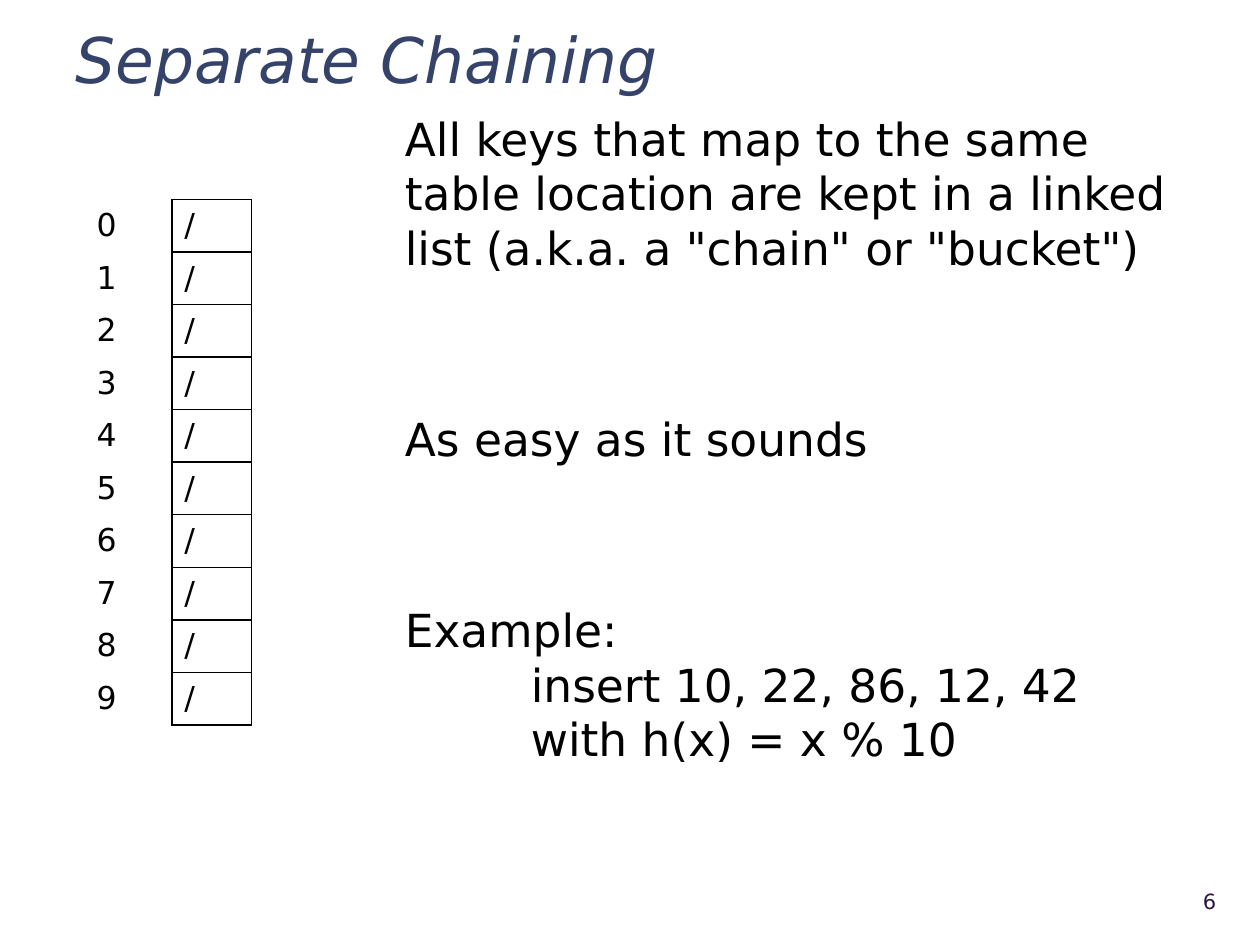
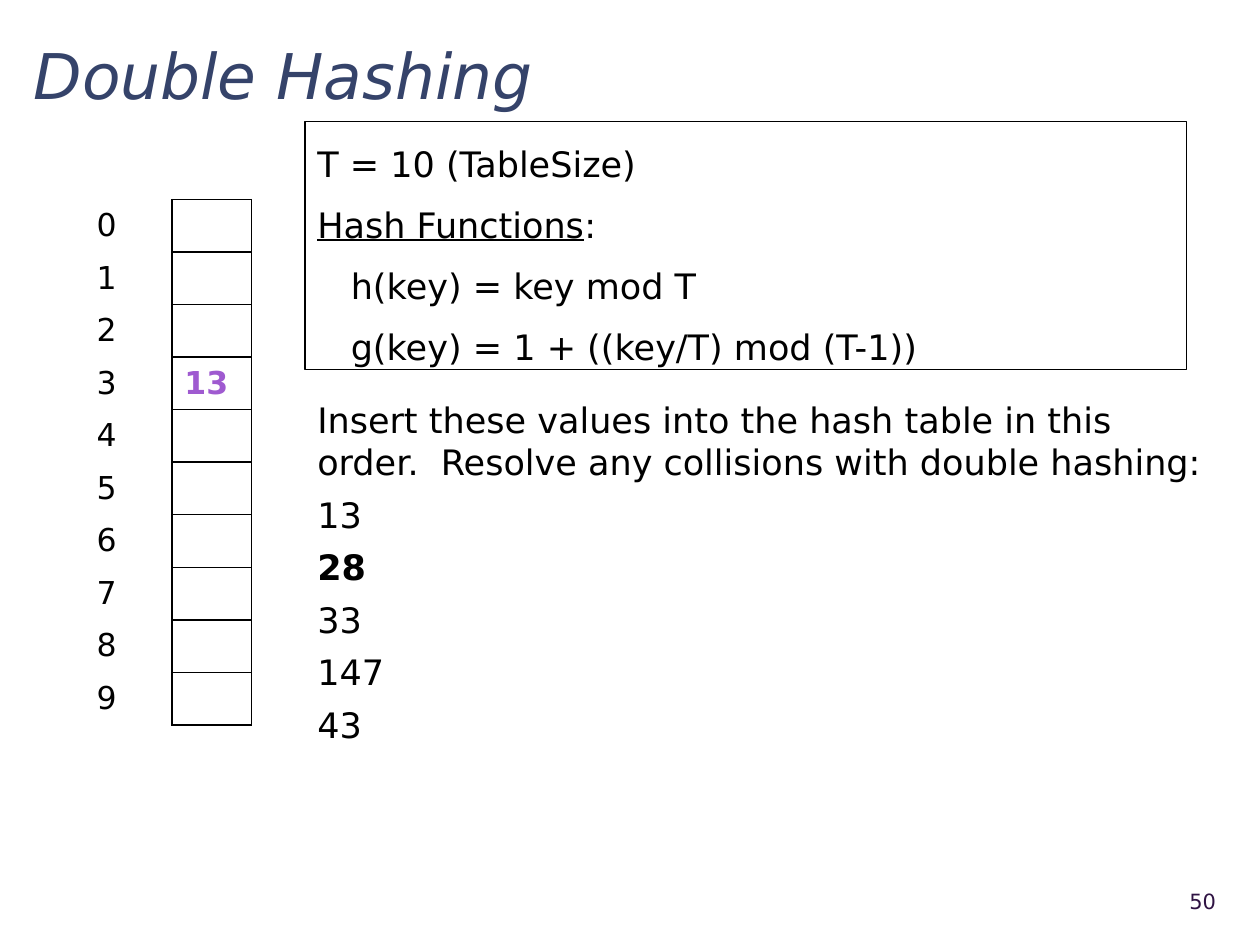
"""Builds two slides on hash tables: separate chaining and double hashing."""
from collections import namedtuple

from lxml import etree
from pptx import Presentation
from pptx.dml.color import RGBColor
from pptx.enum import text as t
from pptx.oxml import ns
from pptx.util import Pt

FONT = "DejaVu Sans"
NAVY = RGBColor(0x35, 0x43, 0x6A)
PLUM = RGBColor(0x2F, 0x13, 0x43)
VIOLET = RGBColor(0x9F, 0x5A, 0xD0)
BLACK = RGBColor(0, 0, 0)
TITLE_ONLY = 5
BREAK = "\n"

Box = namedtuple("Box", "left top width height")
Line = namedtuple("Line", "runs before indent", defaults=(0, 0))

BUCKETS = Box(48, 114, 95.75, 300.25)
PAGE_NUMBER = Box(640, 500.4, 62, 28.8)


def lengths(box):
    """Return the sides of a box as lengths."""
    return [Pt(side) for side in box]


def add_run(paragraph, words, size, color=BLACK, bold=False, italic=False, underline=False):
    """Add one formatted run."""
    run = paragraph.add_run()
    run.text = words
    font = run.font
    font.name, font.size, font.color.rgb = FONT, Pt(size), color
    font.bold, font.italic, font.underline = bold, italic, underline


def add_title(slide, box, words):
    """Place and format the slide title."""
    title = slide.shapes.title
    title.left, title.top, title.width, title.height = lengths(box)
    frame = title.text_frame
    frame.auto_size = t.MSO_AUTO_SIZE.NONE
    frame.word_wrap = True
    frame.vertical_anchor = t.MSO_ANCHOR.MIDDLE
    paragraph = frame.paragraphs[0]
    paragraph.alignment = t.PP_ALIGN.LEFT
    paragraph.line_spacing = 1.1
    add_run(paragraph, words, 36, NAVY, italic=True)


def add_text(slide, box, lines, size, spacing=1.0):
    """Add a wrapped text box of lines, each made of (words, format) runs."""
    area = slide.shapes.add_textbox(*lengths(box))
    frame = area.text_frame
    frame.word_wrap = True
    for number, line in enumerate(lines):
        paragraph = frame.add_paragraph() if number else frame.paragraphs[0]
        paragraph.line_spacing = spacing
        paragraph.space_before = Pt(line.before)
        if line.indent:
            paragraph._p.get_or_add_pPr().set("marL", str(Pt(line.indent)))
        for words, style in line.runs:
            if words == BREAK:
                paragraph.add_line_break()
            else:
                add_run(paragraph, words, size, **style)
    return area


def add_page_number(slide, number):
    """Add the page number at the bottom right."""
    area = add_text(slide, PAGE_NUMBER, [Line([(number, {"color": PLUM})])], 12)
    area.text_frame.vertical_anchor = t.MSO_ANCHOR.MIDDLE
    area.text_frame.paragraphs[0].alignment = t.PP_ALIGN.RIGHT


def set_borders(cell, drawn):
    """Draw the named sides of a cell in black and clear the others."""
    properties = cell._tc.get_or_add_tcPr()
    for side in "LRTB":
        edge = etree.SubElement(properties, ns.qn(f"a:ln{side}"), w=str(Pt(1)))
        if side in drawn:
            fill = etree.SubElement(edge, ns.qn("a:solidFill"))
            etree.SubElement(fill, ns.qn("a:srgbClr"), val=str(BLACK))
        else:
            etree.SubElement(edge, ns.qn("a:noFill"))


def add_buckets(slide, box, contents):
    """Add the hash table: an index column and a framed column of contents."""
    count = len(contents)
    table = slide.shapes.add_table(count, 2, *lengths(box)).table
    table.first_row = table.horz_banding = False
    index_width = 50.25
    table.columns[0].width = Pt(index_width)
    table.columns[1].width = Pt(box.width - index_width)
    for index, (words, style) in enumerate(contents):
        table.rows[index].height = Pt(box.height / count)
        entries = [(str(index), {}, "R"), (words, style, "LRTB")]
        for column, (entry, look, sides) in enumerate(entries):
            cell = table.cell(index, column)
            cell.vertical_anchor = t.MSO_ANCHOR.MIDDLE
            set_borders(cell, sides)
            cell.fill.background()
            paragraph = cell.text_frame.paragraphs[0]
            paragraph.font.size = Pt(18)
            if entry:
                add_run(paragraph, entry, 18, **look)


def start_slide(deck, title_box, title, number, contents):
    """Add a slide with its title, page number and hash table."""
    slide = deck.slides.add_slide(deck.slide_layouts[TITLE_ONLY])
    add_title(slide, title_box, title)
    add_page_number(slide, number)
    add_buckets(slide, BUCKETS, contents)
    return slide


def add_chaining_slide(deck):
    """Explain separate chaining beside an empty table."""
    slide = start_slide(deck, Box(36, 12.25, 666, 38), "Separate Chaining", "6", [("/", {})] * 10)
    topic_gap = 78
    add_text(slide, Box(224.25, 59.75, 478, 432), [
        Line([("All keys that map to the same", {}), (BREAK, {}),
              ('table location are kept in a linked list (a.k.a. a "chain" or "bucket")', {})]),
        Line([("As easy as it sounds", {})], topic_gap),
        Line([("Example:", {})], topic_gap),
        Line([("insert 10, 22, 86, 12, 42", {})], indent=72),
        Line([("with h(x) = x % 10", {})], indent=72),
    ], 26)


def add_double_hashing_slide(deck):
    """Give the hash functions and the values to insert by double hashing."""
    contents = [("", {})] * 10
    contents[3] = ("13", {"color": VIOLET, "bold": True})
    slide = start_slide(deck, Box(12, 13.25, 696, 54), "Double Hashing", "50", contents)

    functions = add_text(slide, Box(174.25, 69.4, 503.75, 141.75), [
        Line([("T = 10 (TableSize)", {})]),
        Line([("Hash Functions", {"underline": True}), (":", {})], 6),
        Line([("h(key) = key mod T", {})], 6, 19.1),
        Line([("g(key) = 1 + ((key/T) mod (T-1))", {})], 6, 19.1),
    ], 20, 1.2)
    functions.text_frame.margin_top = Pt(7.2)
    functions.text_frame.margin_bottom = 0
    functions.line.color.rgb = BLACK
    functions.line.width = Pt(0.75)

    task = ("Insert these values into the hash table in this order.  "
            "Resolve any collisions with double hashing:")
    values = [Line([(value, {"bold": value == "28"})], 6)
              for value in ("13", "28", "33", "147", "43")]
    add_text(slide, Box(174.25, 224.25, 524, 207), [Line([(task, {})]), *values], 20)


def main():
    """Build and save the presentation."""
    deck = Presentation()
    deck.slide_width, deck.slide_height = Pt(720), Pt(540)
    add_chaining_slide(deck)
    add_double_hashing_slide(deck)
    deck.save("out.pptx")


if __name__ == "__main__":
    main()
